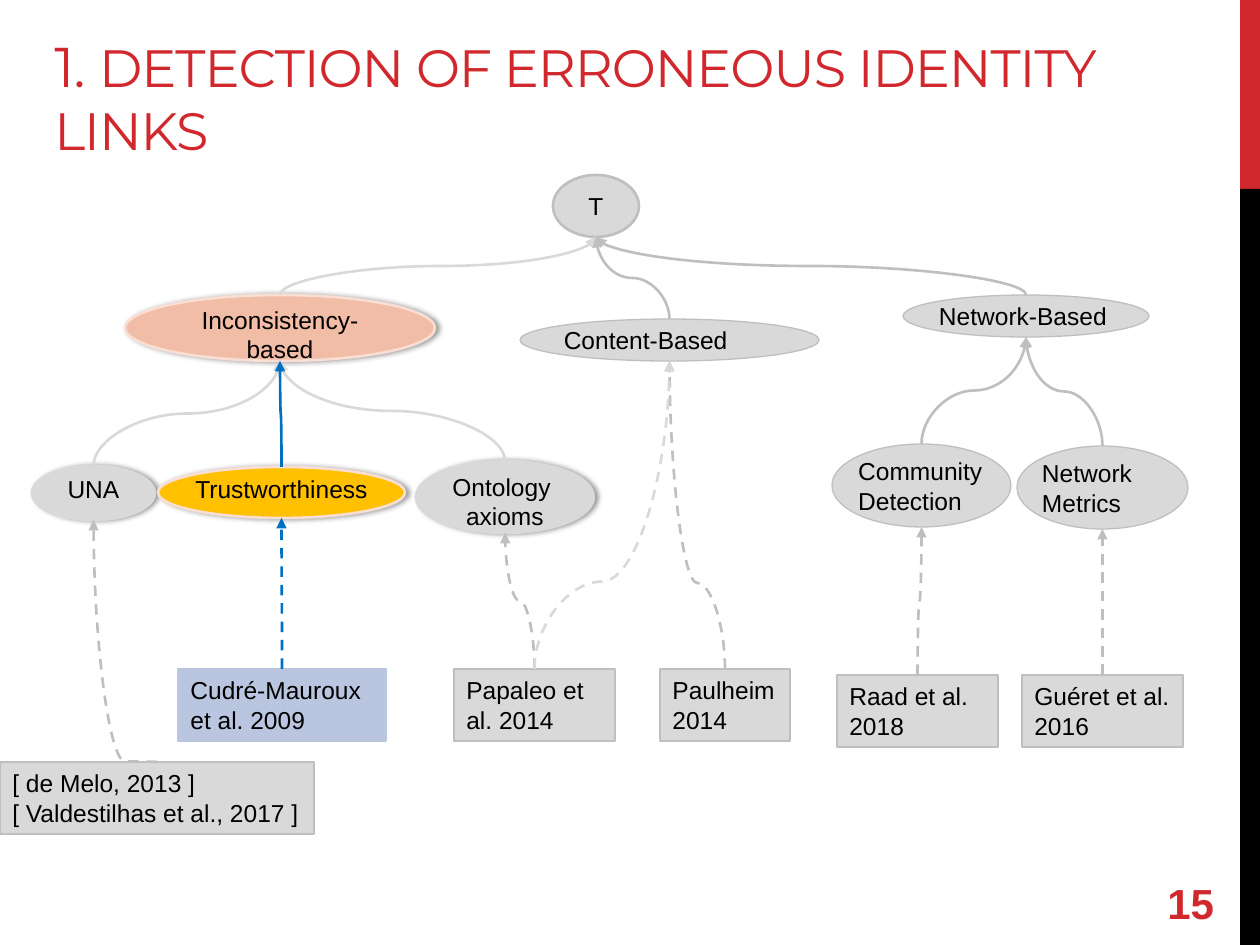
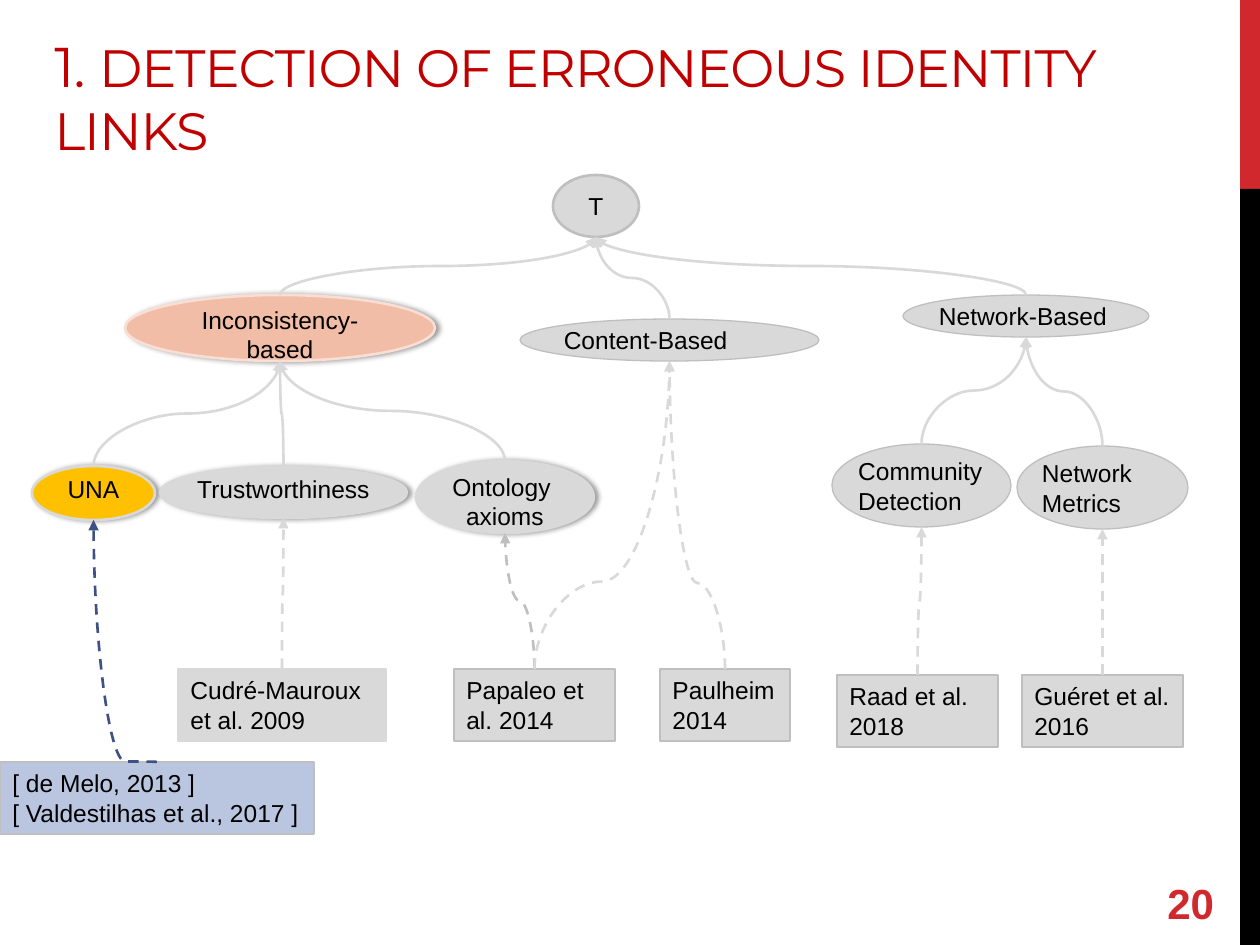
from lxml import etree
from pptx import Presentation
from pptx.dml.color import RGBColor
from pptx.enum.dml import MSO_LINE
from pptx.enum.shapes import MSO_CONNECTOR, MSO_SHAPE
from pptx.enum.text import MSO_ANCHOR, PP_ALIGN
from pptx.oxml.ns import qn
from pptx.util import Pt

SCALE = 914400 / 126
RED, BLACK, GOLD = "D1282E", "000000", "FFC000"
PALE, GREY = "D9D9D9", "BFBFBF"
PEACH, CREAM, LILAC = "F1BDA7", "F8DED3", "BAC5DF"
BLUE, NAVY = "0070C0", "3D5185"

# Ellipses: left, top, width, height within the tree, lines, format
OVALS = {
    "top": ((553, 0, 86, 62), ["T"],
            dict(weight=1.5, pad=None, anchor="m", align="c")),
    "incons": ((125, 120, 310, 66), ["Inconsistency-based"],
               dict(fill=PEACH, edge=CREAM, glow=True)),
    "network": ((903, 120, 246, 42), ["Network-Based"], {}),
    "content": ((520, 144, 299, 42), ["Content-Based"], {}),
    "una": ((32, 291, 123, 54), ["UNA"], dict(edge=PALE, glow=True)),
    "trust": ((160, 292, 247, 51), ["Trustworthiness "],
              dict(edge=PALE, glow=True)),
    "onto": ((416, 286, 178, 72), ["Ontology ", "axioms"],
             dict(edge=PALE, glow=True)),
    "commun": ((832, 269, 179, 83), ["Community", "Detection"], {}),
    "metrics": ((1017, 271, 171, 83), ["Network", "Metrics"], {}),
}

# Cited papers: left, top, width within the tree, lines
PAPERS = {
    "melo": ((0, 587, 314),
             ["[ de Melo, 2013 ]", "[ Valdestilhas et al., 2017 ]"]),
    "cudre": ((178, 494, 208), ["Cudré-Mauroux et al. 2009"]),
    "papaleo": ((454, 494, 161), ["Papaleo et al. 2014"]),
    "paulheim": ((660, 494, 130), ["Paulheim", "2014"]),
    "raad": ((837, 500, 161), ["Raad et al. 2018"]),
    "gueret": ((1022, 500, 161), ["Guéret et al. 2016"]),
}
PAPER_H = 72

# Child, parent, bend in thousandths of a percent
LINKS = [
    ("incons", "top", 50000), ("network", "top", 50000),
    ("content", "top", 50000), ("una", "incons", 50000),
    ("onto", "incons", 50000), ("commun", "network", 50000),
    ("metrics", "network", 50000), ("melo", "una", 200),
    ("cudre", "trust", 50000), ("raad", "commun", 50000),
    ("gueret", "metrics", 50000), ("paulheim", "content", 27900),
    ("papaleo", "onto", 50000), ("papaleo", "content", 28400),
    ("trust", "incons", 50000),
]


def px(value):
    return round(value * SCALE)


def color(code):
    return RGBColor.from_string(code)


def text(frame, lines, size=14, ink=BLACK, font="Arial", bold=False,
         align="l", anchor="t", pad=None, spacing=None):
    """Each line is a string or a list of (string, size) runs."""
    frame.word_wrap = True
    frame.vertical_anchor = MSO_ANCHOR.MIDDLE if anchor == "m" else MSO_ANCHOR.TOP
    if pad is not None:
        frame.margin_left = frame.margin_right = px(pad)
        frame.margin_top = frame.margin_bottom = px(pad)
    for i, line in enumerate(lines):
        para = frame.add_paragraph() if i else frame.paragraphs[0]
        para.alignment = PP_ALIGN.CENTER if align == "c" else PP_ALIGN.LEFT
        for words, height in [(line, size)] if isinstance(line, str) else line:
            run = para.add_run()
            run.text = words
            run.font.size = Pt(height)
            run.font.name = font
            run.font.bold = bold
            run.font.color.rgb = color(ink)
            if spacing is not None:
                run.font._element.set("spc", str(spacing))


def label(slide, box, lines, **style):
    area = slide.shapes.add_textbox(*map(px, box))
    text(area.text_frame, lines, **style)


def block(slide, kind, box, fill, edge=None, weight=0.75):
    shape = slide.shapes.add_shape(kind, *map(px, box))
    shape.shadow.inherit = False
    shape.fill.solid()
    shape.fill.fore_color.rgb = color(fill)
    if edge:
        shape.line.color.rgb = color(edge)
        shape.line.width = Pt(weight)
    else:
        shape.line.fill.background()
    return shape


def shade(shape):
    """Soft shadow to the right of the shape."""
    effects = shape._element.spPr.find(qn("a:effectLst"))
    outer = etree.SubElement(effects, qn("a:outerShdw"), blurRad=str(Pt(3.1)),
                             dist=str(Pt(1.8)), dir="0", rotWithShape="0")
    tint = etree.SubElement(outer, qn("a:srgbClr"), val=BLACK)
    etree.SubElement(tint, qn("a:alpha"), val="40000")


def oval(slide, box, lines, fill=PALE, edge=GREY, weight=0.75, glow=False,
         pad=0, anchor="t", align="l"):
    shape = block(slide, MSO_SHAPE.OVAL, box, fill, edge, 1.5 if glow else weight)
    if glow:
        shade(shape)
        align = "c"
    text(shape.text_frame, lines, pad=pad, anchor=anchor, align=align)
    return shape


def paper(slide, box, lines, fill=PALE, edge=GREY):
    shape = block(slide, MSO_SHAPE.RECTANGLE, box, fill, edge)
    text(shape.text_frame, lines)
    return shape


def link(slide, child, parent, ink, bend, dashed):
    """Curved arrow from the child's top to the parent's bottom."""
    x1, y1 = child.left + child.width // 2, child.top
    x2, y2 = parent.left + parent.width // 2, parent.top + parent.height
    mid_x, mid_y = (x1 + x2) // 2, (y1 + y2) // 2
    rise, shift = (y1 - y2) // 2, (x1 - x2) // 2
    # Laid out sideways, then turned a quarter to the left
    curve = slide.shapes.add_connector(
        MSO_CONNECTOR.CURVE, mid_x - rise, mid_y + shift,
        mid_x + rise, mid_y - shift)
    curve.line.color.rgb = color(ink)
    curve.line.width = Pt(1.5)
    if dashed:
        curve.line.dash_style = MSO_LINE.DASH
    props = curve._element.spPr
    props.find(qn("a:xfrm")).set("rot", "16200000")
    guides = props.find(qn("a:prstGeom")).find(qn("a:avLst"))
    etree.SubElement(guides, qn("a:gd"), name="adj1", fmla=f"val {bend}")
    etree.SubElement(curve.line._get_or_add_ln(), qn("a:tailEnd"), type="triangle")
    etree.SubElement(props, qn("a:effectLst"))
    # Ellipses have eight joints: 4 is the bottom
    joints = curve._element.find(qn("p:nvCxnSpPr")).find(qn("p:cNvCxnSpPr"))
    for tag, shape, site in (("a:stCxn", child, 0), ("a:endCxn", parent, 4)):
        etree.SubElement(joints, qn(tag), id=str(shape.shape_id), idx=str(site))


def tree(slide, left, top, looks, inks, ink, nudge):
    """Looks and inks override single nodes and links; nudge moves nodes."""
    nodes = {}
    for name, ((x, y, w, h), lines, style) in OVALS.items():
        box = (left + x + nudge.get(name, 0), top + y, w, h)
        nodes[name] = oval(slide, box, lines, **{**style, **looks.get(name, {})})
    for name, ((x, y, w), lines) in PAPERS.items():
        box = (left + x, top + y, w, PAPER_H)
        nodes[name] = paper(slide, box, lines, **looks.get(name, {}))
    for child, parent, bend in LINKS:
        link(slide, nodes[child], nodes[parent],
             inks.get((child, parent), ink), bend, child in PAPERS)


def frame(slide, number, ink):
    # Side band
    for y, h, fill in ((0, 189, RED), (189, 756, BLACK)):
        block(slide, MSO_SHAPE.RECTANGLE, (1240, y, 20, h), fill)
    # Title and page number
    label(slide, (42, 25, 1184, 149),
          [[("1. ", 32), ("DETECTION OF ERRONEOUS IDENTITY LINKS", 30)]],
          ink=ink, font="Montserrat", spacing=-60)
    label(slide, (1155, 878, 105, 50), [str(number)], size=24, ink=RED,
          bold=True, anchor="m")


PAGES = [
    dict(number=15, title=RED, ink=GREY, nudge={"trust": -2},
         looks={"trust": dict(fill=GOLD, edge=CREAM),
                "cudre": dict(fill=LILAC, edge=LILAC)},
         inks={("incons", "top"): PALE, ("una", "incons"): PALE,
               ("onto", "incons"): PALE, ("papaleo", "content"): PALE,
               ("cudre", "trust"): BLUE, ("trust", "incons"): BLUE}),
    dict(number=20, title="C00000", ink=PALE, nudge={},
         looks={"una": dict(fill=GOLD), "melo": dict(fill=LILAC),
                "cudre": dict(edge=PALE)},
         inks={("melo", "una"): NAVY, ("papaleo", "onto"): GREY}),
]


def main():
    deck = Presentation()
    deck.slide_width, deck.slide_height = px(1260), px(945)
    for page in PAGES:
        slide = deck.slides.add_slide(deck.slide_layouts[6])
        frame(slide, page["number"], page["title"])
        tree(slide, 0, 175, page["looks"], page["inks"], page["ink"], page["nudge"])
    deck.save("out.pptx")


if __name__ == "__main__":
    main()
